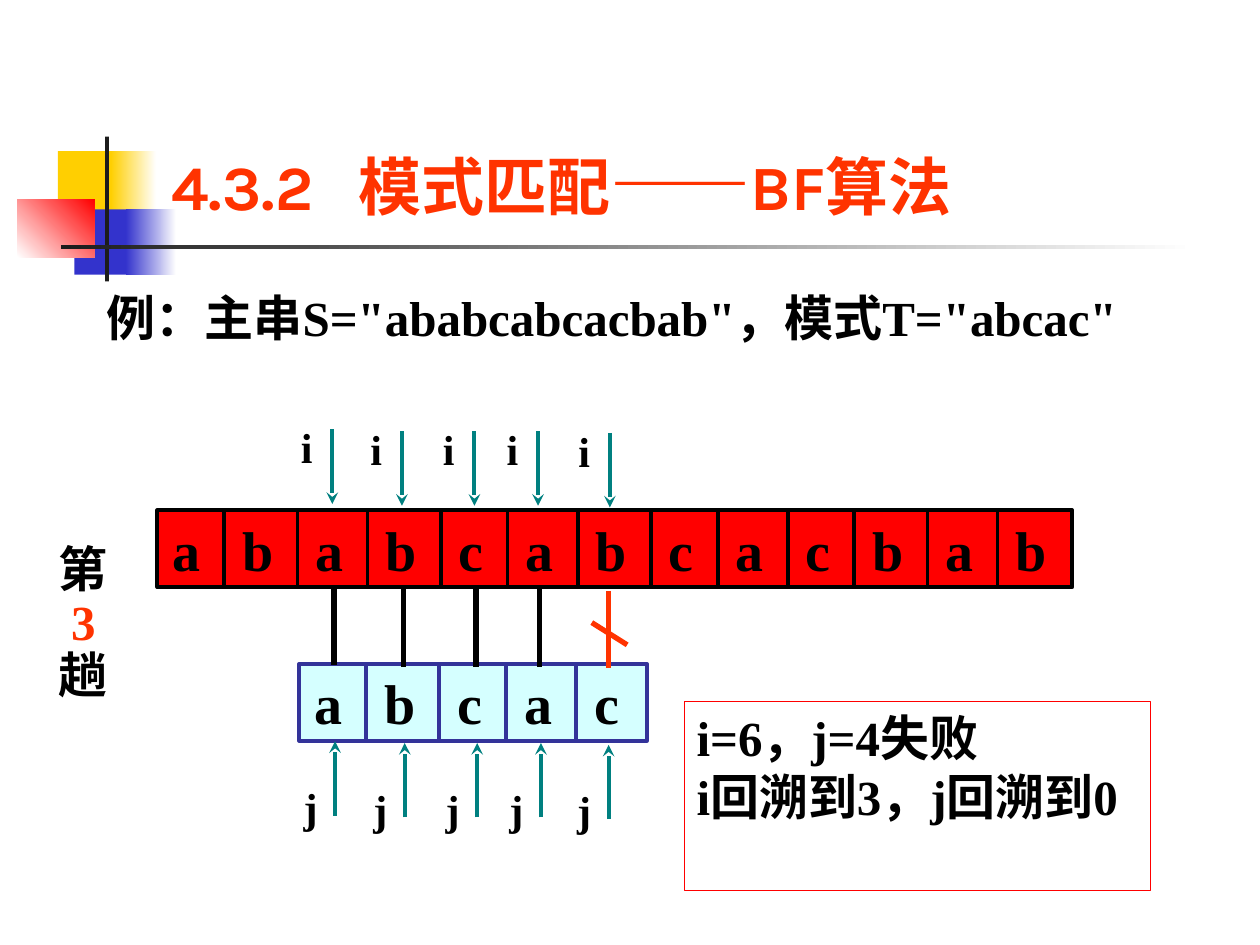
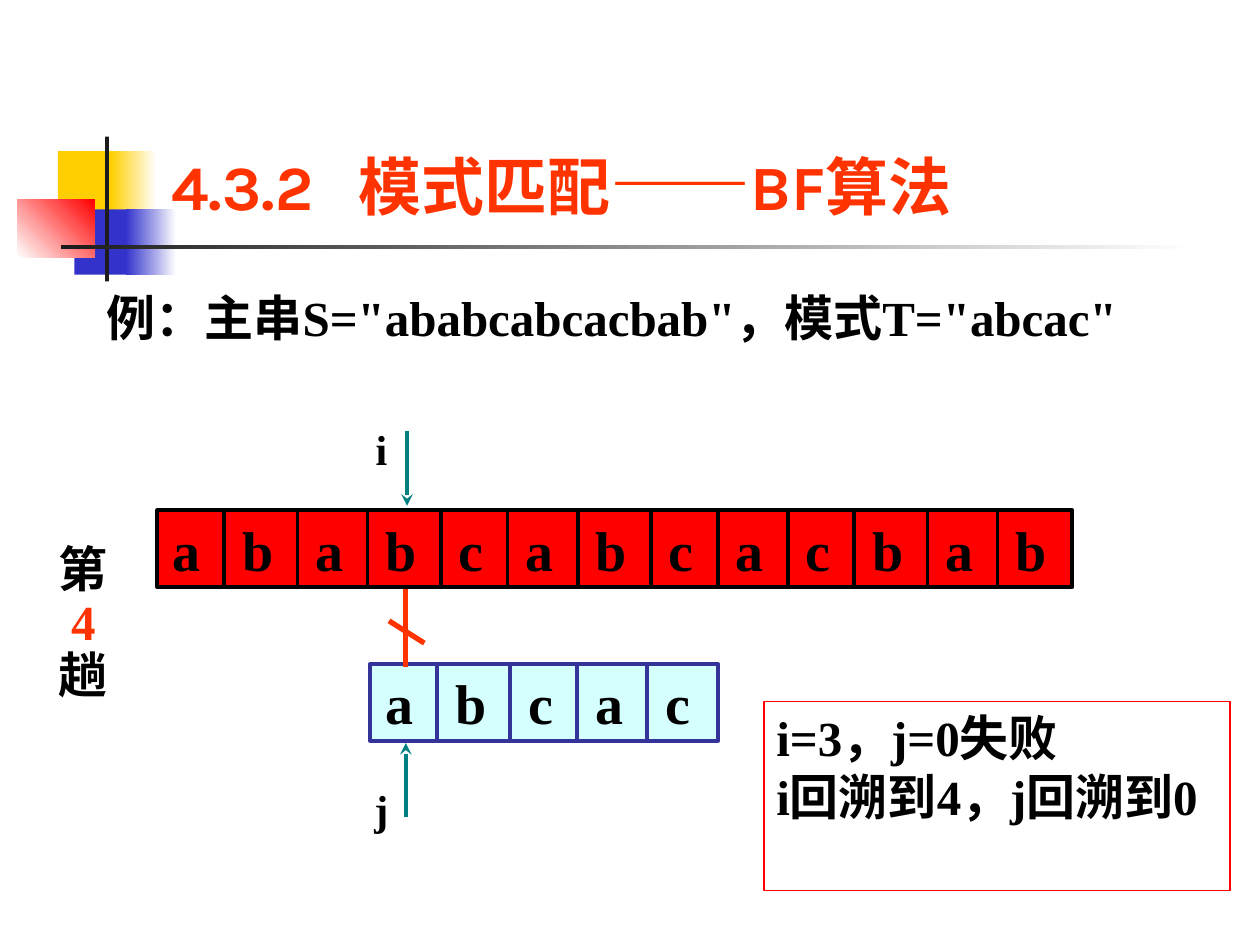
from dataclasses import dataclass
from itertools import accumulate
from typing import Any

from lxml.etree import SubElement
from pptx import Presentation
from pptx.dml.color import RGBColor
from pptx.enum.shapes import MSO_CONNECTOR, MSO_SHAPE
from pptx.enum.text import MSO_ANCHOR, MSO_AUTO_SIZE, PP_ALIGN
from pptx.oxml.ns import qn
from pptx.util import Pt

COLORS = {
    "gold": "FFCF01", "blue": "3333CC", "red": "FF0000", "ink": "1C1C1C",
    "white": "FFFFFF", "black": "000000", "navy": "333399", "ice": "D5FFFF",
    "teal": "008080", "flame": "FF3300",
}
SERIF = "Times New Roman"
STEP = {"a": 40, "b": 41.8, "c": 38.2}
INSET = 8.64
ROW_HIGH = 43.9
MAIN_TOP = 291.6
MAIN = "ababcabcacbab"
MODEL = "abcac"


@dataclass(frozen=True)
class Box:
    left: float
    top: float
    width: float
    height: float


@dataclass(frozen=True)
class Band:
    box: Box
    color: str
    fade: str = ""
    angle: float = 0


@dataclass(frozen=True)
class Row:
    text: str
    box: Box
    fill: str
    line: str


@dataclass(frozen=True)
class Run:
    text: str
    size: float = 28
    color: str = "black"
    font: str = SERIF


@dataclass(frozen=True)
class Probe:
    x: float
    drop: float = 1
    match: bool = True


@dataclass(frozen=True)
class Pass:
    number: str
    model_left: float
    note_left: float
    notes: tuple[str, str]
    probes: tuple[Probe, ...]


BANDS = [
    Band(Box(33.1, 86.4, 34.6, 37.4), "gold"),
    Band(Box(63.4, 86.4, 25.9, 37.4), "gold", "white"),
    Band(Box(42.5, 119.6, 33.1, 37.4), "blue"),
    Band(Box(72, 119.6, 28.8, 37.4), "blue", "white"),
    Band(Box(10, 113.8, 44, 33.1), "white", "red", 45),
    Band(Box(60, 78, 2.3, 82.8), "ink"),
    Band(Box(34.8, 140.1, 648, 2.5), "ink", "white"),
]
PASSES = [
    Pass("3", 171, 391, ("i=6，j=4失败", "i回溯到3，j回溯到0"), (
        Probe(190.8, 0), Probe(230.6), Probe(272), Probe(308.4),
        Probe(347.8, 2, False))),
    Pass("4", 211.6, 436.6, ("i=3，j=0失败", "i回溯到4，j回溯到0"), (
        Probe(231.9, 1, False),)),
]


def paint(color: Any, name: str) -> None:
    color.rgb = RGBColor.from_string(COLORS[name])


def add_run(para: Any, run: Run) -> None:
    part = para.add_run()
    part.text = run.text
    part.font.name = run.font
    part.font.size = Pt(run.size)
    part.font.bold = True
    paint(part.font.color, run.color)


def add_tabs(para: Any, stops: list[float]) -> None:
    tabs = SubElement(para._p.get_or_add_pPr(), qn("a:tabLst"))
    for stop in stops:
        SubElement(tabs, qn("a:tab"), pos=str(Pt(stop)), algn="l")


def place(box: Box) -> tuple[int, ...]:
    return tuple(Pt(n) for n in (box.left, box.top, box.width, box.height))


def add_rect(shapes: Any, box: Box, fill: str = "", line: str = "",
             width: float = 2.25) -> Any:
    rect = shapes.add_shape(MSO_SHAPE.RECTANGLE, *place(box))
    rect.shadow.inherit = False
    if fill:
        rect.fill.solid()
        paint(rect.fill.fore_color, fill)
    else:
        rect.fill.background()
    if line:
        paint(rect.line.color, line)
        rect.line.width = Pt(width)
    else:
        rect.line.fill.background()
    return rect


def add_line(shapes: Any, start: tuple[float, float], end: tuple[float, float],
             color: str, width: float = 2.25, arrow: bool = False) -> None:
    line = shapes.add_connector(
        MSO_CONNECTOR.STRAIGHT, *(Pt(n) for n in start + end))
    paint(line.line.color, color)
    line.line.width = Pt(width)
    if arrow:
        SubElement(line.line._get_or_add_ln(), qn("a:tailEnd"), type="stealth")
    SubElement(line._element.spPr, qn("a:effectLst"))


def fill_text(shape: Any, lines: list[Run], side: float = 7.2,
              space: float = 1) -> Any:
    frame = shape.text_frame
    frame.word_wrap = True
    frame.vertical_anchor = MSO_ANCHOR.TOP
    frame.margin_left = frame.margin_right = Pt(side)
    frame.margin_top = frame.margin_bottom = Pt(3.6)
    for n, run in enumerate(lines):
        para = frame.add_paragraph() if n else frame.paragraphs[0]
        para.alignment = PP_ALIGN.LEFT
        para.line_spacing = space
        add_run(para, run)
    return frame


def add_text(shapes: Any, box: Box, *lines: Run, side: float = 7.2,
             space: float = 1) -> Any:
    return fill_text(shapes.add_textbox(*place(box)), list(lines), side, space)


def add_bands(slide: Any, layout: Any) -> None:
    for band in BANDS:
        rect = add_rect(slide.shapes, band.box, band.color)
        if band.fade:
            rect.fill.gradient()
            rect.fill.gradient_angle = band.angle
            ends = zip(rect.fill.gradient_stops, (band.color, band.fade), (0, 1))
            for stop, color, spot in ends:
                paint(stop.color, color)
                stop.position = spot
        layout.shapes.element.append(rect.element)


def add_title(slide: Any) -> None:
    title = slide.shapes.title
    title.left, title.top, title.width, title.height = place(
        Box(90.7, 16.6, 613.4, 115.2))
    frame = title.text_frame
    frame.auto_size = MSO_AUTO_SIZE.NONE
    frame.vertical_anchor = MSO_ANCHOR.BOTTOM
    para = frame.paragraphs[0]
    add_tabs(para, [107])
    para.alignment = PP_ALIGN.LEFT
    for run in (Run("4.3.2\t模式匹配", 36, "flame", "Karla"),
                Run("——", 40, "flame", "Arial"),
                Run("BF算法", 36, "flame", "Karla")):
        add_run(para, run)


def add_row(shapes: Any, row: Row) -> None:
    rect = add_rect(shapes, row.box, row.fill, row.line)
    frame = rect.text_frame
    frame.word_wrap = True
    frame.vertical_anchor = MSO_ANCHOR.MIDDLE
    frame.margin_left, frame.margin_right = Pt(INSET), Pt(1.44)
    frame.margin_top = frame.margin_bottom = 0
    para = frame.paragraphs[0]
    stops = list(accumulate(STEP[char] for char in row.text[:-1]))
    add_tabs(para, stops)
    para.alignment = PP_ALIGN.LEFT
    add_run(para, Run("\t".join(row.text), 32))
    for stop in stops:
        x = row.box.left + INSET + stop - 10.4
        add_line(shapes, (x, row.box.top),
                 (x, row.box.top + row.box.height), row.line)


def add_probe(slide: Any, probe: Probe) -> None:
    shapes = slide.shapes.add_group_shape().shapes
    x, y = probe.x, probe.drop
    i_x, j_x = (x - 0.9, x + 0.7) if probe.match else (x + 0.7, x)
    add_line(shapes, (x, 335.7 + y), (x, 380 + y),
             "black" if probe.match else "flame", 3)
    if not probe.match:
        add_line(shapes, (x - 9.6, 353.8 + y), (x + 10.6, 366.5 + y), "flame", 3)
    add_line(shapes, (i_x, 245.4 + y), (i_x, 288 + y), "teal", arrow=True)
    add_line(shapes, (j_x, 466.1 + y), (j_x, 423.6 + y), "teal", arrow=True)
    for name, left, top in (("i", i_x, 237.6), ("j", j_x, 443)):
        add_text(shapes, Box(left - 18, top + y, 18, 36), Run(name, 24), side=0)


def add_pass(slide: Any, turn: Pass) -> None:
    shapes = slide.shapes
    add_title(slide)
    add_text(shapes, Box(54, 160.6, 642.2, 41),
             Run('例：主串S="ababcabcacbab"，模式T="abcac"'))
    add_row(shapes.add_group_shape().shapes,
            Row(MAIN, Box(90, MAIN_TOP, 522.7, ROW_HIGH), "red", "black"))
    add_row(shapes, Row(MODEL, Box(turn.model_left, 379.4, 198.7, ROW_HIGH),
                        "ice", "navy"))
    note = add_rect(shapes, Box(turn.note_left, 401, 266.4, 108), "", "red", 0.75)
    fill_text(note, [Run(text) for text in turn.notes])
    label = add_text(shapes, Box(26.6, 308.2, 51.1, 97.9), Run("第"),
                     Run(turn.number, color="flame"), Run("趟"), space=0.9)
    label.paragraphs[1]._p.get_or_add_pPr().set("marL", str(Pt(7)))
    for probe in turn.probes:
        add_probe(slide, probe)


def main() -> None:
    deck = Presentation()
    deck.slide_width, deck.slide_height = Pt(720), Pt(540)
    layout = deck.slide_layouts[5]
    for n, turn in enumerate(PASSES):
        slide = deck.slides.add_slide(layout)
        if n == 0:
            add_bands(slide, layout)
        add_pass(slide, turn)
    deck.save("out.pptx")


if __name__ == "__main__":
    main()
